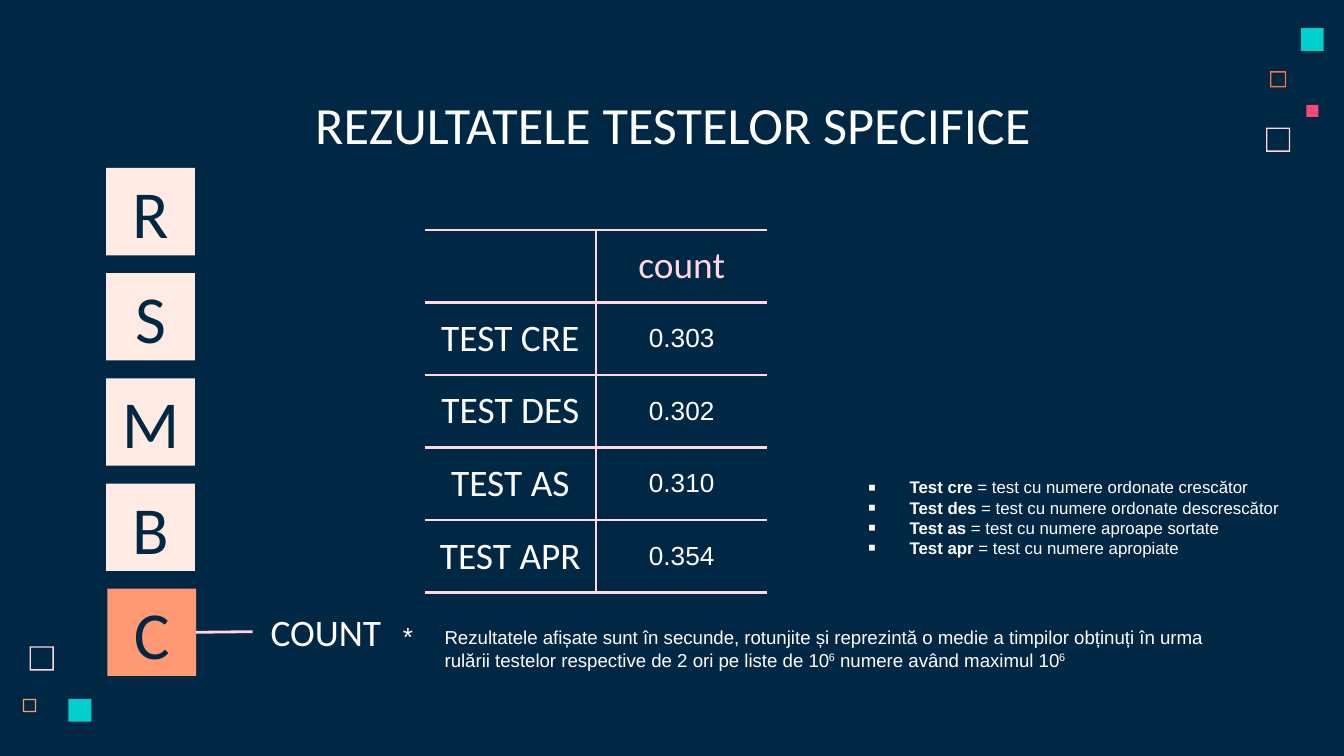
"""Build the slide with the results of the specific sorting tests."""
from dataclasses import dataclass

import pptx
import pptx.dml.color
import pptx.enum.shapes
import pptx.enum.text
import pptx.oxml.ns
import pptx.util
from lxml import etree

Inches = pptx.util.Inches
Pt = pptx.util.Pt
RGBColor = pptx.dml.color.RGBColor
MSO_SHAPE = pptx.enum.shapes.MSO_SHAPE
MSO_ANCHOR = pptx.enum.text.MSO_ANCHOR
PP_ALIGN = pptx.enum.text.PP_ALIGN
qn = pptx.oxml.ns.qn

NAVY = RGBColor(0x00, 0x28, 0x45)
WHITE = RGBColor(0xFF, 0xFF, 0xFF)
PINK = RGBColor(0xFF, 0xD6, 0xE1)
CREAM = RGBColor(0xFF, 0xEB, 0xE3)
PEACH = RGBColor(0xFF, 0x99, 0x73)
ORANGE = RGBColor(0xFC, 0x72, 0x3F)
TEAL = RGBColor(0x00, 0xCF, 0xCC)
ROSE = RGBColor(0xF6, 0x49, 0x75)
FRAME_WIDTH = 0.01


@dataclass
class Square:
    left: float
    top: float
    size: float
    color: RGBColor
    hollow: bool = False


@dataclass
class Style:
    size: float
    font: str = "Calibri"
    color: RGBColor = WHITE


@dataclass
class Part:
    text: str
    bold: bool = False
    superscript: bool = False


SQUARES = [
    Square(9.42, 0.95, 0.18, PINK, True),
    Square(9.45, 0.53, 0.12, ORANGE, True),
    Square(9.68, 0.21, 0.17, TEAL),
    Square(0.17, 5.2, 0.1, PEACH, True),
    Square(9.72, 0.78, 0.09, ROSE),
    Square(0.22, 4.81, 0.18, PINK, True),
    Square(0.51, 5.2, 0.17, TEAL),
]
ROWS = [
    ("", "count"),
    ("TEST CRE", "0.303"),
    ("TEST DES", "0.302"),
    ("TEST AS", "0.310"),
    ("TEST APR", "0.354"),
]
NOTE = [[
    Part("Rezultatele afișate sunt în secunde, rotunjite și reprezintă o medie a timpilor "
         "obținuți în urma rulării testelor respective de 2 ori pe liste de 10"),
    Part("6", superscript=True),
    Part(" numere având maximul 10"),
    Part("6", superscript=True),
]]
LEGEND = [
    [Part(f"Test {name} ", bold=True), Part(f"= test cu numere {meaning}")]
    for name, meaning in [
        ("cre", "ordonate crescător"),
        ("des", "ordonate descrescător"),
        ("as", "aproape sortate"),
        ("apr", "apropiate"),
    ]
]


def format_run(r, style: Style) -> None:
    r.font.size = Pt(style.size)
    r.font.name = style.font
    r.font.color.rgb = style.color


def set_margins(tf) -> None:
    tf.margin_left = tf.margin_right = tf.margin_top = tf.margin_bottom = Inches(0.1)


def write_centered(tf, text: str, style: Style) -> None:
    tf.text = text
    p = tf.paragraphs[0]
    p.alignment = PP_ALIGN.CENTER
    for r in p.runs:
        format_run(r, style)


def add_box(s, kind, left: float, top: float, width: float, height: float, color: RGBColor):
    sp = s.shapes.add_shape(kind, Inches(left), Inches(top), Inches(width), Inches(height))
    sp.shadow.inherit = False
    sp.fill.solid()
    sp.fill.fore_color.rgb = color
    sp.line.fill.background()
    return sp


def add_square(s, square: Square) -> None:
    kind = MSO_SHAPE.FRAME if square.hollow else MSO_SHAPE.RECTANGLE
    sp = add_box(s, kind, square.left, square.top, square.size, square.size, square.color)
    if square.hollow:
        sp.adjustments[0] = FRAME_WIDTH / square.size


def add_letter(s, letter: str, left: float, top: float, color: RGBColor):
    sp = add_box(s, MSO_SHAPE.RECTANGLE, left, top, 0.66, 0.65, color)
    set_margins(sp.text_frame)
    sp.text_frame.vertical_anchor = MSO_ANCHOR.MIDDLE
    write_centered(sp.text_frame, letter, Style(36, color=NAVY))
    return sp


def add_text_box(s, left: float, top: float, width: float, height: float):
    sp = s.shapes.add_textbox(Inches(left), Inches(top), Inches(width), Inches(height))
    sp.text_frame.word_wrap = True
    set_margins(sp.text_frame)
    return sp


def add_bullet(p, char: str) -> None:
    pPr = p._p.get_or_add_pPr()
    pPr.set("marL", str(Inches(0.31)))
    pPr.set("indent", str(-Inches(0.31)))
    color = etree.SubElement(pPr, qn("a:buClr"))
    etree.SubElement(color, qn("a:srgbClr"), val=str(WHITE))
    etree.SubElement(pPr, qn("a:buSzPct"), val="140000")
    etree.SubElement(pPr, qn("a:buFont"), typeface="Arial")
    etree.SubElement(pPr, qn("a:buChar"), char=char)


def write_list(tf, items: list[list[Part]], bullet: str, style: Style) -> None:
    for i, parts in enumerate(items):
        p = tf.add_paragraph() if i else tf.paragraphs[0]
        add_bullet(p, bullet)
        for part in parts:
            r = p.add_run()
            r.text = part.text
            format_run(r, style)
            r.font.bold = part.bold
            if part.superscript:
                r._r.get_or_add_rPr().set("baseline", "30000")


def set_borders(cell, visible: str) -> None:
    tcPr = cell._tc.get_or_add_tcPr()
    for side in "LRTB":
        ln = etree.SubElement(tcPr, qn(f"a:ln{side}"), w=str(Pt(1.5)))
        if side in visible:
            fill = etree.SubElement(ln, qn("a:solidFill"))
            etree.SubElement(fill, qn("a:srgbClr"), val=str(PINK))
        else:
            etree.SubElement(ln, qn("a:noFill"))


def add_results(s) -> None:
    table = s.shapes.add_table(len(ROWS), 2, Inches(3.16), Inches(1.71),
                               Inches(2.55), Inches(0.54 * len(ROWS))).table
    table.first_row = table.horz_banding = False
    for i, row in enumerate(ROWS):
        for j, text in enumerate(row):
            cell = table.cell(i, j)
            set_margins(cell)
            cell.vertical_anchor = MSO_ANCHOR.MIDDLE
            set_borders(cell, "LTB" if j else "RTB")
            cell.fill.background()
            style = Style(14, "Arial") if i and j else Style(20, color=WHITE if i else PINK)
            write_centered(cell.text_frame, text, style)


def add_link(s, start, end) -> None:
    line = s.shapes.add_connector(pptx.enum.shapes.MSO_CONNECTOR.STRAIGHT, 0, 0, 0, 0)
    line.begin_connect(start, 3)
    line.end_connect(end, 1)
    line.line.color.rgb = PINK
    line.line.width = Pt(1.5)
    etree.SubElement(line._element.spPr, qn("a:effectLst"))


def main() -> None:
    prs = pptx.Presentation()
    prs.slide_width = Inches(10)
    prs.slide_height = Inches(10 * 9 / 16)
    s = prs.slides.add_slide(prs.slide_layouts[6])
    s.background.fill.solid()
    s.background.fill.fore_color.rgb = NAVY
    for square in SQUARES:
        add_square(s, square)
    title = add_text_box(s, 0.79, 0.59, 8.43, 0.63)
    write_centered(title.text_frame, "REZULTATELE TESTELOR SPECIFICE", Style(28))
    step = (4.38 - 1.25) / 4
    for i, letter in enumerate("RSMB"):
        add_letter(s, letter, 0.79, 1.25 + i * step, CREAM)
    current = add_letter(s, "C", 0.8, 4.38, PEACH)
    label = add_text_box(s, 1.88, 4.51, 1.09, 0.38)
    label.text_frame.vertical_anchor = MSO_ANCHOR.MIDDLE
    write_centered(label.text_frame, "COUNT", Style(20))
    add_link(s, current, label)
    add_results(s)
    note = add_text_box(s, 2.9, 4.56, 6.3, 0.65)
    write_list(note.text_frame, NOTE, "*", Style(10, "Arial"))
    legend = add_text_box(s, 6.36, 3.45, 3.42, 0.93)
    write_list(legend.text_frame, LEGEND, "▪", Style(9, "Arial"))
    prs.save("out.pptx")


if __name__ == "__main__":
    main()
